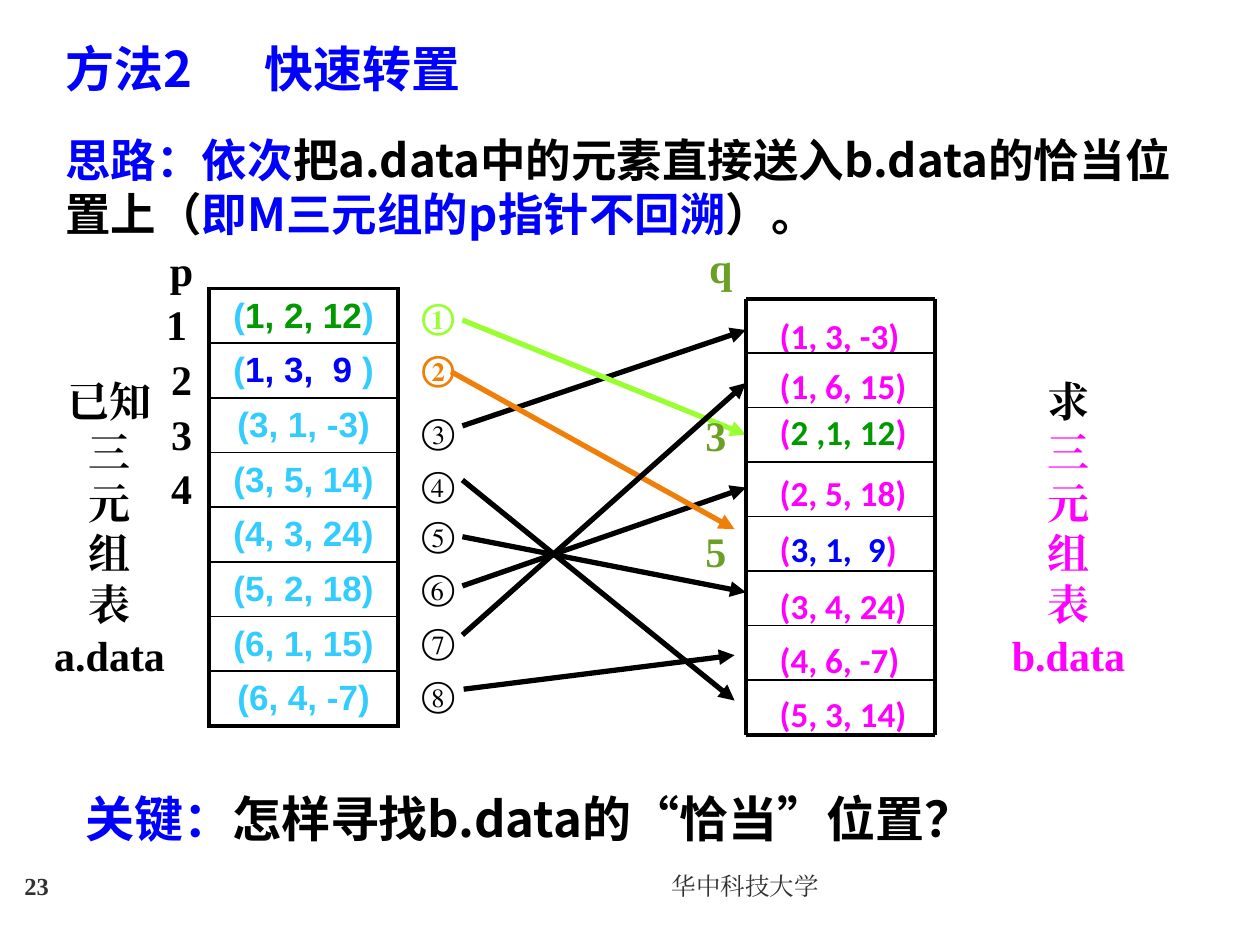
import dataclasses

import lxml.etree
import pptx
import pptx.dml.color
import pptx.enum.shapes
import pptx.enum.text
import pptx.oxml
import pptx.oxml.ns
import pptx.util

Inches = pptx.util.Inches
Pt = pptx.util.Pt
RGB = pptx.dml.color.RGBColor.from_string
qn = pptx.oxml.ns.qn
Align = pptx.enum.text.PP_ALIGN
Anchor = pptx.enum.text.MSO_ANCHOR


@dataclasses.dataclass(frozen=True)
class Theme:
    black: str = "000000"
    grey: str = "323232"
    blue: str = "0000FF"
    magenta: str = "FF00FF"
    cyan: str = "33CCFF"
    green: str = "009900"
    lime: str = "99FF33"
    orange: str = "F07F09"
    olive: str = "6B9F25"
    sans: str = "Noto Sans CJK SC"
    serif: str = "Times New Roman"
    table_font: str = "Arial"
    triple_font: str = "Calibri"
    title: int = 28
    body: int = 26
    label: int = 24
    triple: int = 20
    footer: int = 14


theme = Theme()


def write(frame, lines, font, size, color, bold=True, align=Align.LEFT, spacing=None):
    """Fill a frame; each line is a list of (text, colour or None for the default)."""
    frame.word_wrap = True
    for number, line in enumerate(lines):
        para = frame.add_paragraph() if number else frame.paragraphs[0]
        para.alignment = align
        if spacing:
            para.line_spacing = Pt(spacing)
        para.font.size = Pt(size)
        para.font.bold = bold
        para.font.color.rgb = RGB(color)
        para.font.name = font
        defaults = para._p.pPr.find(qn("a:defRPr"))
        lxml.etree.SubElement(defaults, qn("a:ea")).set("typeface", font)
        for text, span_color in line:
            span = para.add_run()
            span.text = text
            if span_color:
                span.font.color.rgb = RGB(span_color)


def draw_line(start, end, color, width, arrow=False):
    points = [Inches(value) for value in (*start, *end)]
    line = page.shapes.add_connector(pptx.enum.shapes.MSO_CONNECTOR.STRAIGHT, *points)
    line.line.color.rgb = RGB(color)
    line.line.width = Pt(width)
    if arrow:
        outline = line.line._get_or_add_ln()
        lxml.etree.SubElement(outline, qn("a:tailEnd")).set("type", "triangle")
    lxml.etree.SubElement(line._element.spPr, qn("a:effectLst"))


deck = pptx.Presentation()
deck.slide_width, deck.slide_height = Inches(10), Inches(7.5)
page = deck.slides.add_slide(deck.slide_layouts[6])

# Footer
for left, width, text, bold, align in [
    (0.67, 5.93, "华中科技大学", False, Align.RIGHT),
    (0, 0.58, "23", True, Align.CENTER),
]:
    box = page.shapes.add_textbox(Inches(left), Inches(6.83), Inches(width), Inches(0.4))
    box.text_frame.vertical_anchor = Anchor.MIDDLE
    write(box.text_frame, [[(text, None)]], theme.serif, theme.footer, theme.grey, bold, align)

# Title, with the method name at a tab stop
box = page.shapes.add_textbox(Inches(0.42), Inches(0.26), Inches(4.97), Inches(0.63))
properties = box.text_frame.paragraphs[0]._p.get_or_add_pPr()
tabs = lxml.etree.SubElement(properties, qn("a:tabLst"))
tab = lxml.etree.SubElement(tabs, qn("a:tab"))
tab.set("pos", str(Inches(1.58)))
tab.set("algn", "l")
write(box.text_frame, [[("方法2\t快速转置", None)]], theme.sans, theme.title, theme.blue)

# Idea and key question
for left, top, width, height, size, spacing, line in [
    (0.42, 1.01, 9.17, 0.97, theme.body, 30.5, [
        ("思路：依次", theme.blue),
        ("把a.data中的元素直接送入b.data的恰当位置上（", None),
        ("即M三元组的p指针不回溯", theme.blue),
        ("）。", None),
    ]),
    (0.58, 6.22, 7.17, 0.97, theme.title, 33, [
        ("关键：", theme.blue),
        ("怎样寻找b.data的“恰当”位置？", None),
    ]),
]:
    box = page.shapes.add_textbox(Inches(left), Inches(top), Inches(width), Inches(height))
    write(box.text_frame, [line], theme.sans, size, theme.black, spacing=spacing)

# Vertical captions beside the two lists
for left, heading, name, color in [
    (0.27, "已知", "a.data", theme.black),
    (7.88, "求", "b.data", theme.magenta),
]:
    box = page.shapes.add_textbox(Inches(left), Inches(2.93), Inches(1.2), Inches(2.5))
    lines = [[(heading, theme.black)]] + [[(text, None)] for text in (*"三元组表", name)]
    write(box.text_frame, lines, theme.serif, theme.label, color,
          align=Align.CENTER, spacing=29)

# Moves: mark, mark top, arrow start, arrow end, colour, triple top, triple inside brackets
moves = [
    ("③", 3.2, (3.67, 3.38), (5.92, 2.62), theme.black, 2.45, "1, 3, -3", None),
    ("①", 2.29, (3.67, 2.54), (5.92, 3.45), theme.lime, 3.21, "2 ,1, 12", theme.green),
    ("⑥", 4.44, (3.67, 4.65), (5.92, 3.87), theme.black, 3.69, "2, 5, 18", None),
    ("②", 2.7, (3.58, 2.95), (5.83, 4.2), theme.orange, 4.14, "3, 1,  9", theme.blue),
    ("⑧", 5.29, (3.68, 5.47), (5.83, 5.2), theme.black, 5.02, "4, 6, -7", None),
    ("④", 3.62, (3.67, 3.81), (5.83, 5.56), theme.black, 5.45, "5, 3, 14", None),
    ("⑦", 4.87, (3.67, 5.04), (5.92, 3.04), theme.black, 2.84, "1, 6, 15", None),
    ("⑤", 4.02, (3.67, 4.26), (5.92, 4.7), theme.black, 4.59, "3, 4, 24", None),
]
for mark, mark_top, start, end, color, triple_top, triple, triple_color in moves:
    draw_line(start, end, color, 3, arrow=True)
    box = page.shapes.add_textbox(Inches(3.25), Inches(mark_top), Inches(0.48), Inches(0.43))
    write(box.text_frame, [[(mark, None)]], theme.serif, theme.triple, color,
          bold=color != theme.black)
    box = page.shapes.add_textbox(Inches(6.09), Inches(triple_top), Inches(1.4), Inches(0.43))
    line = [("(", None), (triple, triple_color), (")", None)] if triple_color else [
        (f"({triple})", None)]
    write(box.text_frame, [line], theme.triple_font, theme.triple, theme.magenta)

# Ruled frame of the target list
left, right, top, bottom, rows = 5.92, 7.42, 2.37, 5.83, 8
for row in range(rows + 1):
    y = top + (bottom - top) * row / rows
    draw_line((left, y), (right, y), theme.black, 2.25 if row in (0, rows) else 1)
for x in (left, right):
    draw_line((x, top), (x, bottom), theme.black, 2.25)

# Source list
triples = [
    [("(", None), ("1, 2, 12", theme.green), (")", None)],
    [("(", None), ("1, 3,  9", theme.blue), (" )", None)],
] + [[(text, None)] for text in (
    "(3, 1, -3)", "(3, 5, 14)", "(4, 3, 24)", "(5, 2, 18)", "(6, 1, 15)", "(6, 4, -7)")]
table = page.shapes.add_table(
    len(triples), 1, Inches(1.66), Inches(2.29), Inches(1.5), Inches(3.47)).table
table.first_row = table.horz_banding = False
for row, line in enumerate(triples):
    cell = table.cell(row, 0)
    cell.fill.background()
    cell.vertical_anchor = Anchor.MIDDLE
    write(cell.text_frame, [line], theme.table_font, theme.triple, theme.cyan,
          align=Align.CENTER)
    widths = {"L": 2.25, "R": 2.25, "T": 1 if row else 2.25,
              "B": 2.25 if row == len(triples) - 1 else 1}
    for position, (side, width) in enumerate(widths.items()):
        border = lxml.etree.Element(qn(f"a:ln{side}"), w=str(Pt(width)))
        fill = lxml.etree.SubElement(border, qn("a:solidFill"))
        lxml.etree.SubElement(fill, qn("a:srgbClr")).set("val", theme.black)
        cell._tc.get_or_add_tcPr().insert(position, border)

# Pointers and row numbers
for text, left, top, color in [
    ("p", 1.25, 1.89, theme.black),
    ("1", 1.22, 2.32, theme.black),
    ("2", 1.26, 2.76, theme.black),
    ("3", 1.26, 3.19, theme.black),
    ("4", 1.26, 3.62, theme.black),
    ("q", 5.53, 1.87, theme.olive),
    ("3", 5.5, 3.2, theme.olive),
    ("5", 5.5, 4.12, theme.olive),
]:
    box = page.shapes.add_textbox(Inches(left), Inches(top), Inches(0.38), Inches(0.5))
    write(box.text_frame, [[(text, None)]], theme.serif, theme.label, color)

deck.save("out.pptx")
